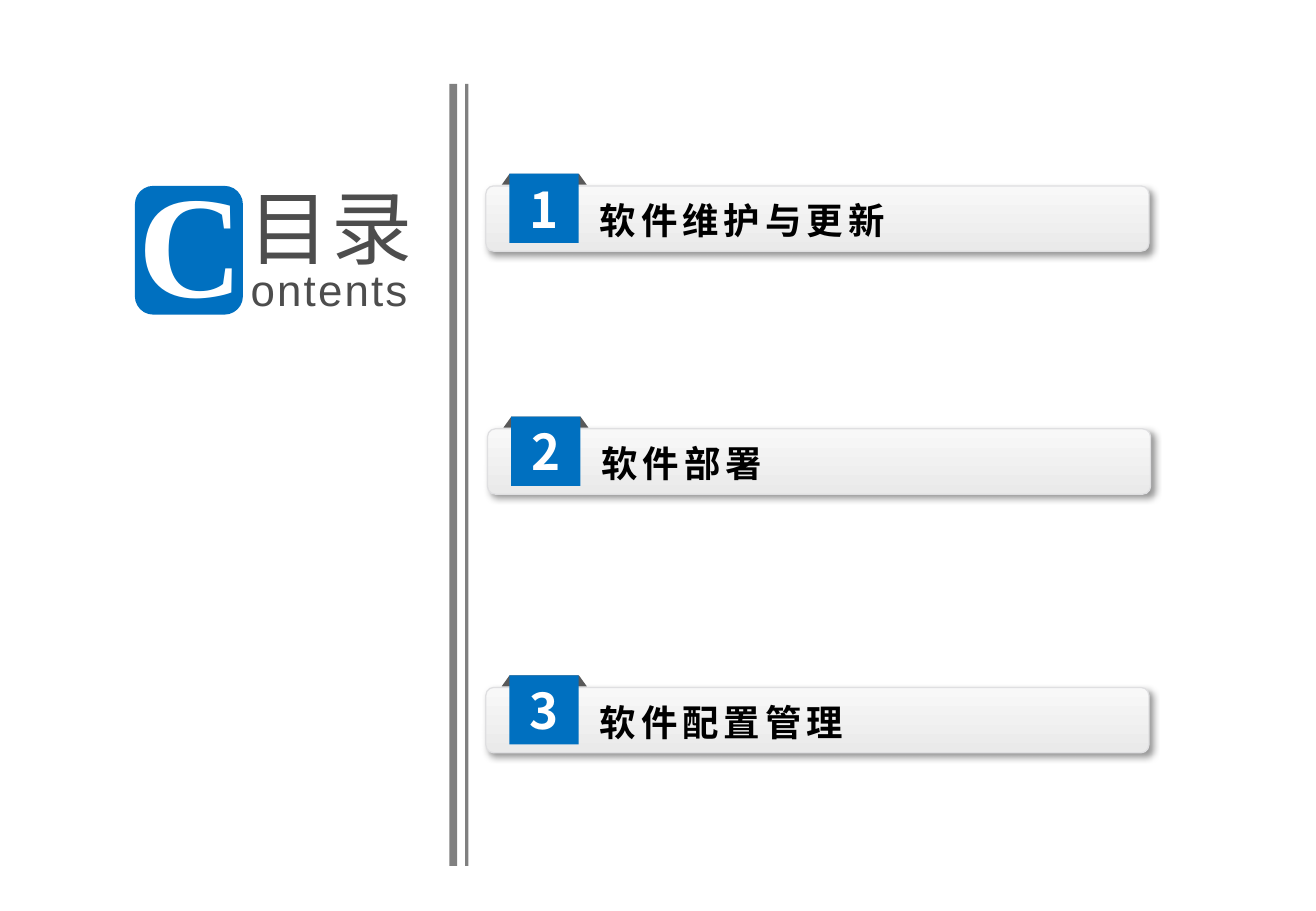
from dataclasses import dataclass
from lxml import etree
from pptx import Presentation
from pptx.dml.color import RGBColor
from pptx.enum.shapes import MSO_SHAPE
from pptx.enum.text import MSO_ANCHOR, PP_ALIGN
from pptx.oxml.ns import qn
from pptx.util import Pt

RECT = MSO_SHAPE.RECTANGLE
ROUND = MSO_SHAPE.ROUNDED_RECTANGLE
TRAP = MSO_SHAPE.TRAPEZOID
TOP, MIDDLE = MSO_ANCHOR.TOP, MSO_ANCHOR.MIDDLE
LEFT, CENTER = PP_ALIGN.LEFT, PP_ALIGN.CENTER


@dataclass(frozen=True)
class Theme:
    blue: str = "0070C0"
    white: str = "FFFFFF"
    black: str = "000000"
    ink: str = "4D4D4D"
    rail: str = "808080"
    fold: str = "595959"
    light: str = "F8F8F8"
    shade: str = "EAEAEA"
    edge: str = "DFDFE1"
    sans: str = "Noto Sans CJK SC"
    latin: str = "Liberation Sans"
    serif: str = "Liberation Serif"
    label: float = 21.6
    number: float = 29.2
    title: float = 48
    sub: float = 26
    initial: float = 86


THEME = Theme()


def color(code):
    return RGBColor.from_string(code)


def write(shape, text, size, ink, font=THEME.sans, bold=False,
          space=0, align=LEFT, anchor=TOP, wrap=True):
    frame = shape.text_frame
    frame.margin_left = frame.margin_right = 0
    frame.margin_top = frame.margin_bottom = 0
    frame.word_wrap = wrap
    frame.vertical_anchor = anchor
    para = frame.paragraphs[0]
    para.alignment = align
    run = para.add_run()
    run.text = text
    run.font.size = Pt(size)
    run.font.bold = bold
    run.font.name = font
    run.font.color.rgb = color(ink)
    props = run.font._element
    if space:
        props.set("spc", str(round(space * 100)))
    etree.SubElement(props, qn("a:ea")).set("typeface", font)


def place(shapes, kind, box, fill, adjust=None):
    shape = shapes.add_shape(kind, *map(Pt, box))
    shape.shadow.inherit = False
    shape.fill.solid()
    shape.fill.fore_color.rgb = color(fill)
    shape.line.fill.background()
    if adjust is not None:
        shape.adjustments[0] = adjust
    return shape


def label(shapes, box, text, **style):
    write(shapes.add_textbox(*map(Pt, box)), text, **style)


def cast(shape):
    effects = shape._element.spPr.find(qn("a:effectLst"))
    outer = etree.SubElement(effects, qn("a:outerShdw"), blurRad=str(Pt(4)),
                             dist=str(Pt(3)), dir="2700000", algn="tl",
                             rotWithShape="0")
    tint = etree.SubElement(outer, qn("a:srgbClr"), val=THEME.black)
    etree.SubElement(tint, qn("a:alpha"), val="40000")


def heading(shapes, box):
    x, y, w, h = box
    place(shapes, ROUND, (x, y, 64, h), THEME.blue, 0.17)
    label(shapes, (x + 1, y - 20, 64, 99), "C", size=THEME.initial,
          ink=THEME.white, font=THEME.serif, bold=True, align=CENTER,
          wrap=False)
    label(shapes, (x + 67, y - 4.7, w - 67, 70), "目录", size=THEME.title,
          ink=THEME.ink, space=1.7, wrap=False)
    label(shapes, (x + 68.5, y + 45.5, w - 68.5, 30), "ontents",
          size=THEME.sub, ink=THEME.ink, font=THEME.latin, space=1.3,
          wrap=False)


def rails(shapes, box):
    x, y, w, h = box
    place(shapes, RECT, (x, y, 4.5, h), THEME.rail)
    place(shapes, RECT, (x + w - 2, y, 2, h), THEME.rail)


def entry(shapes, box, number, text):
    x, y, w, h = box
    parts = shapes.add_group_shape().shapes
    card = place(parts, ROUND, box, THEME.light, 0.12)
    card.fill.gradient()
    card.fill.gradient_angle = 270
    for stop, code in zip(card.fill.gradient_stops, (THEME.light, THEME.shade)):
        stop.color.rgb = color(code)
    card.line.color.rgb = color(THEME.edge)
    card.line.width = Pt(0)
    cast(card)
    place(parts, TRAP, (x + 9.4, y - 7.2, 50.4, 6.5), THEME.fold, 0.72)
    tile = place(parts, RECT, (x + 14, y - 7.2, 41, 41), THEME.blue)
    write(tile, str(number), THEME.number, THEME.white, bold=True,
          align=CENTER, anchor=MIDDLE, wrap=False)
    label(parts, (x + 67.4, y + 7.4, w - 88, h - 7), text, size=THEME.label,
          ink=THEME.black, bold=True, space=3)


def main():
    deck = Presentation()
    deck.slide_width, deck.slide_height = Pt(780), Pt(540)
    shapes = deck.slides.add_slide(deck.slide_layouts[6]).shapes
    heading(shapes, (80, 110.2, 168, 76.3))
    rails(shapes, (266.4, 49.7, 11.2, 463.7))
    rows = [(288, 110.2, "软件维护与更新"),
            (289, 254.2, "软件部署"),
            (288, 407.5, "软件配置管理")]
    for number, (x, y, text) in enumerate(rows, 1):
        entry(shapes, (x, y, 393, 38.7), number, text)
    deck.save("out.pptx")


if __name__ == "__main__":
    main()
